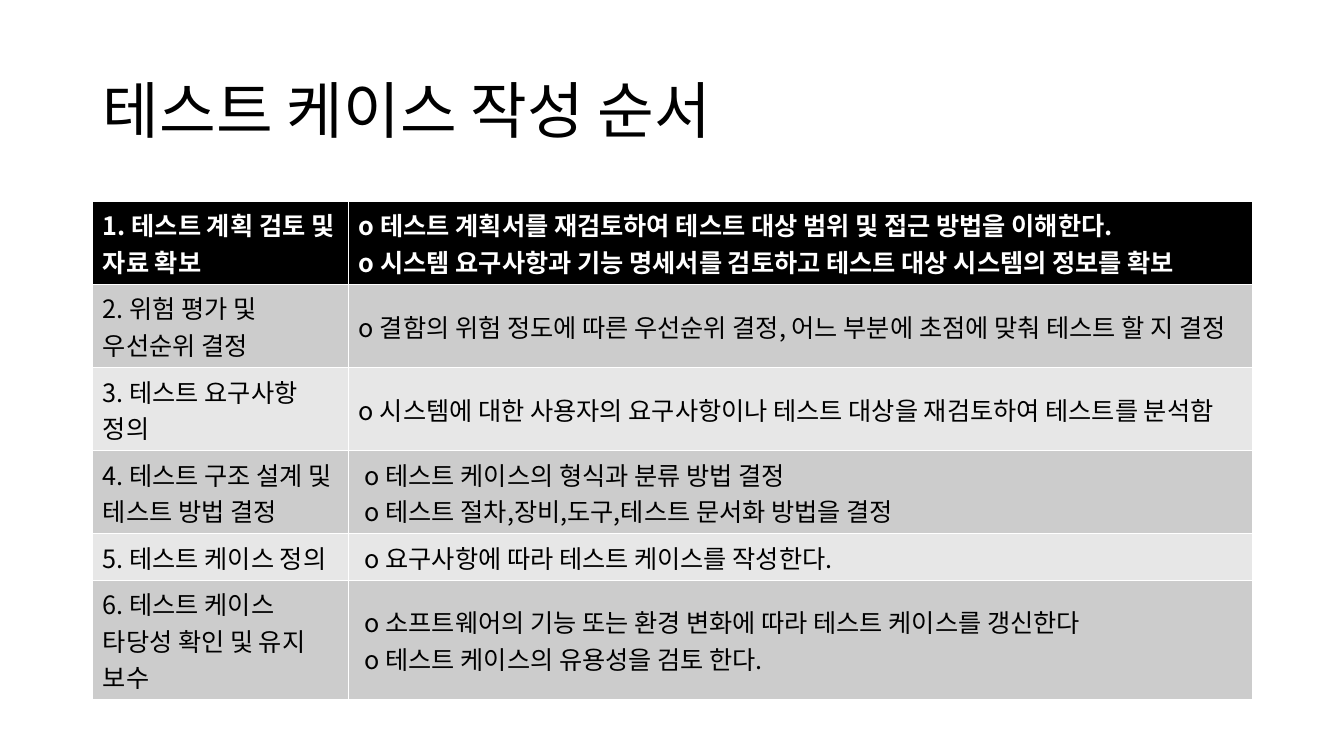
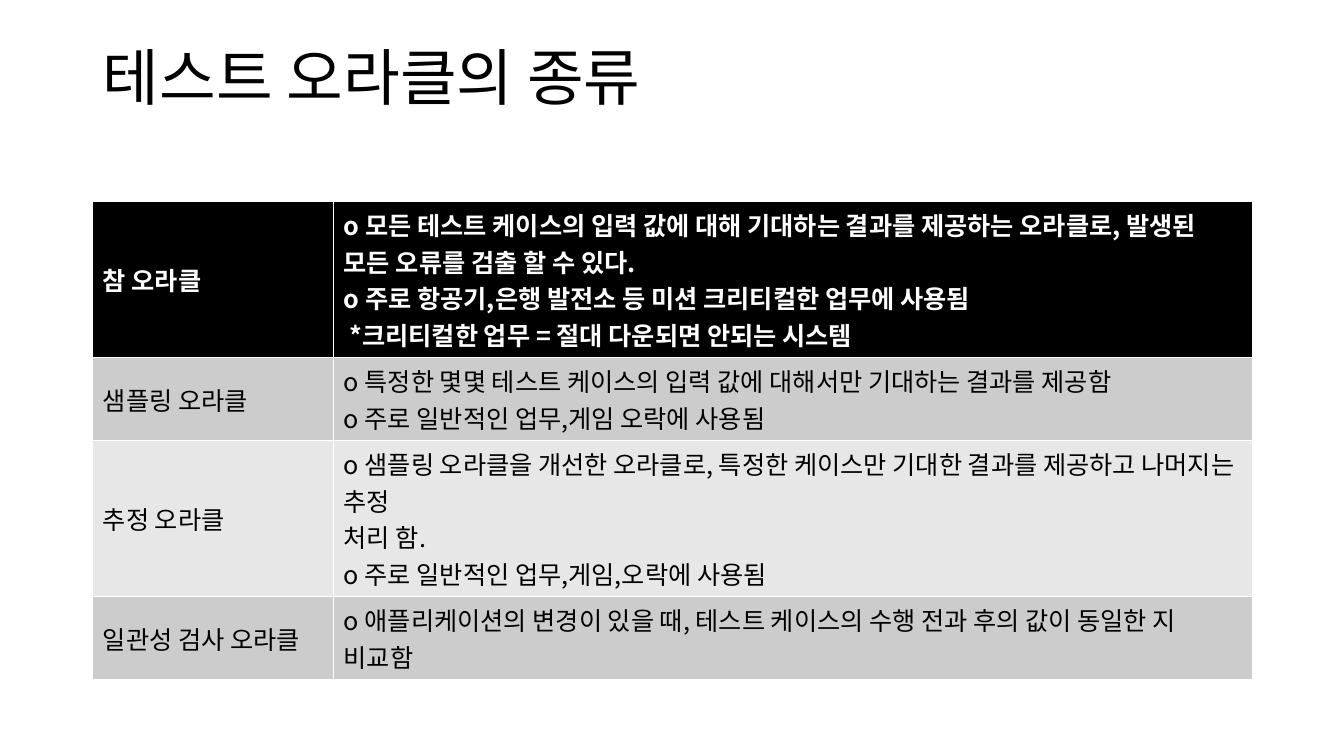
from lxml.etree import SubElement
from pptx import Presentation
from pptx.dml.color import RGBColor
from pptx.enum.text import MSO_ANCHOR, MSO_AUTO_SIZE, PP_ALIGN
from pptx.oxml.ns import qn
from pptx.util import Inches, Pt

FONT = "Noto Sans CJK KR"
BLACK = RGBColor(0x00, 0x00, 0x00)
WHITE = RGBColor(0xFF, 0xFF, 0xFF)
DARK_BAND = RGBColor(0xCC, 0xCC, 0xCC)
LIGHT_BAND = RGBColor(0xE7, 0xE7, 0xE7)
LEFT, WIDTH = 0.92, 11.5
TABLE_TOP = 2
LINE_HEIGHT, CELL_PADDING = 0.36, 0.1

# Each slide: title, space below the title, first column width,
# and rows of (label, description, number of text lines)
SLIDES = [
    ("테스트 케이스 작성 순서", 0.05, 2.54, [
        ("1. 테스트 계획 검토 및 자료 확보",
         "o 테스트 계획서를 재검토하여 테스트 대상 범위 및 접근 방법을 이해한다.\v"
         "o 시스템 요구사항과 기능 명세서를 검토하고 테스트 대상 시스템의 정보를 확보", 2),
        ("2. 위험 평가 및 우선순위 결정",
         "o 결함의 위험 정도에 따른 우선순위 결정, 어느 부분에 초점에 맞춰 테스트 할 지 결정", 2),
        ("3. 테스트 요구사항 정의 ",
         "o 시스템에 대한 사용자의 요구사항이나 테스트 대상을 재검토하여 테스트를 분석함", 2),
        ("4. 테스트 구조 설계 및 테스트 방법 결정",
         " o 테스트 케이스의 형식과 분류 방법 결정\v"
         " o 테스트 절차,장비,도구,테스트 문서화 방법을 결정", 2),
        ("5. 테스트 케이스 정의",
         " o 요구사항에 따라 테스트 케이스를 작성한다.", 1),
        ("6. 테스트 케이스 타당성 확인 및 유지 보수",
         " o 소프트웨어의 기능 또는 환경 변화에 따라 테스트 케이스를 갱신한다\v"
         " o 테스트 케이스의 유용성을 검토 한다.", 3),
    ]),
    ("테스트 오라클의 종류", 0.7, 2.39, [
        ("참 오라클",
         "o 모든 테스트 케이스의 입력 값에 대해 기대하는 결과를 제공하는 오라클로, "
         "발생된 모든 오류를 검출 할 수 있다.\v"
         "o 주로 항공기,은행 발전소 등 미션 크리티컬한 업무에 사용됨\v"
         " *크리티컬한 업무 = 절대 다운되면 안되는 시스템", 4),
        ("샘플링 오라클",
         "o 특정한 몇몇 테스트 케이스의 입력 값에 대해서만 기대하는 결과를 제공함\v"
         "o 주로 일반적인 업무,게임 오락에 사용됨", 2),
        ("추정 오라클",
         "o 샘플링 오라클을 개선한 오라클로, 특정한 케이스만 기대한 결과를 제공하고 "
         "나머지는 추정\v처리 함.\v"
         "o 주로 일반적인 업무,게임,오락에 사용됨", 4),
        ("일관성 검사 오라클",
         "o 애플리케이션의 변경이 있을 때, 테스트 케이스의 수행 전과 후의 값이 "
         "동일한 지 비교함", 2),
    ]),
]


def format_runs(text_frame, size, color, bold=False):
    for paragraph in text_frame.paragraphs:
        for run in paragraph.runs:
            run.font.size = Pt(size)
            run.font.bold = bold
            run.font.color.rgb = color
            run.font.name = FONT
            # East Asian typeface for the Korean text
            SubElement(run.font._element, qn("a:ea")).set("typeface", FONT)


prs = Presentation()
prs.slide_width, prs.slide_height = Inches(13.33), Inches(7.5)

for heading, space_below, label_width, rows in SLIDES:
    slide = prs.slides.add_slide(prs.slide_layouts[5])

    # Title
    title = slide.shapes.title
    title.left, title.top = Inches(LEFT), Inches(0.4)
    title.width, title.height = Inches(WIDTH), Inches(1.45)
    frame = title.text_frame
    frame.text = heading
    frame.auto_size = MSO_AUTO_SIZE.NONE
    frame.vertical_anchor = MSO_ANCHOR.MIDDLE
    frame.margin_bottom = Inches(space_below)
    frame.paragraphs[0].alignment = PP_ALIGN.LEFT
    frame.paragraphs[0].line_spacing = 0.9
    format_runs(frame, 44, BLACK)

    # Table: row heights follow the number of text lines
    heights = [CELL_PADDING + LINE_HEIGHT * lines for _, _, lines in rows]
    table = slide.shapes.add_table(
        len(rows), 2, Inches(LEFT), Inches(TABLE_TOP),
        Inches(WIDTH), Inches(sum(heights))).table
    table.columns[0].width = Inches(label_width)
    table.columns[1].width = Inches(WIDTH - label_width)

    for r, (label, description, _) in enumerate(rows):
        table.rows[r].height = Inches(heights[r])
        header = r == 0
        band = BLACK if header else DARK_BAND if r % 2 else LIGHT_BAND
        for cell, text in zip(table.rows[r].cells, (label, description)):
            cell.text_frame.text = text
            cell.vertical_anchor = MSO_ANCHOR.MIDDLE
            cell.fill.solid()
            cell.fill.fore_color.rgb = band
            format_runs(cell.text_frame, 18, WHITE if header else BLACK, header)

prs.save("out.pptx")
